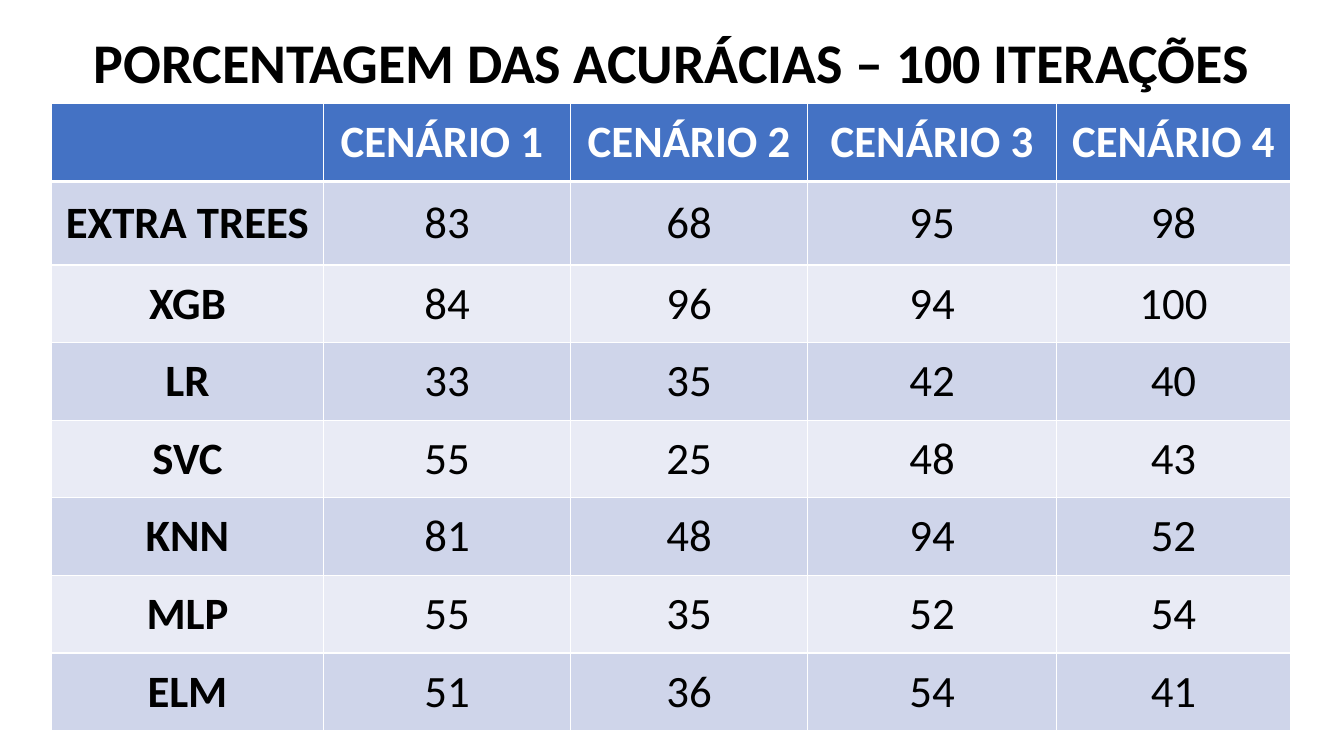
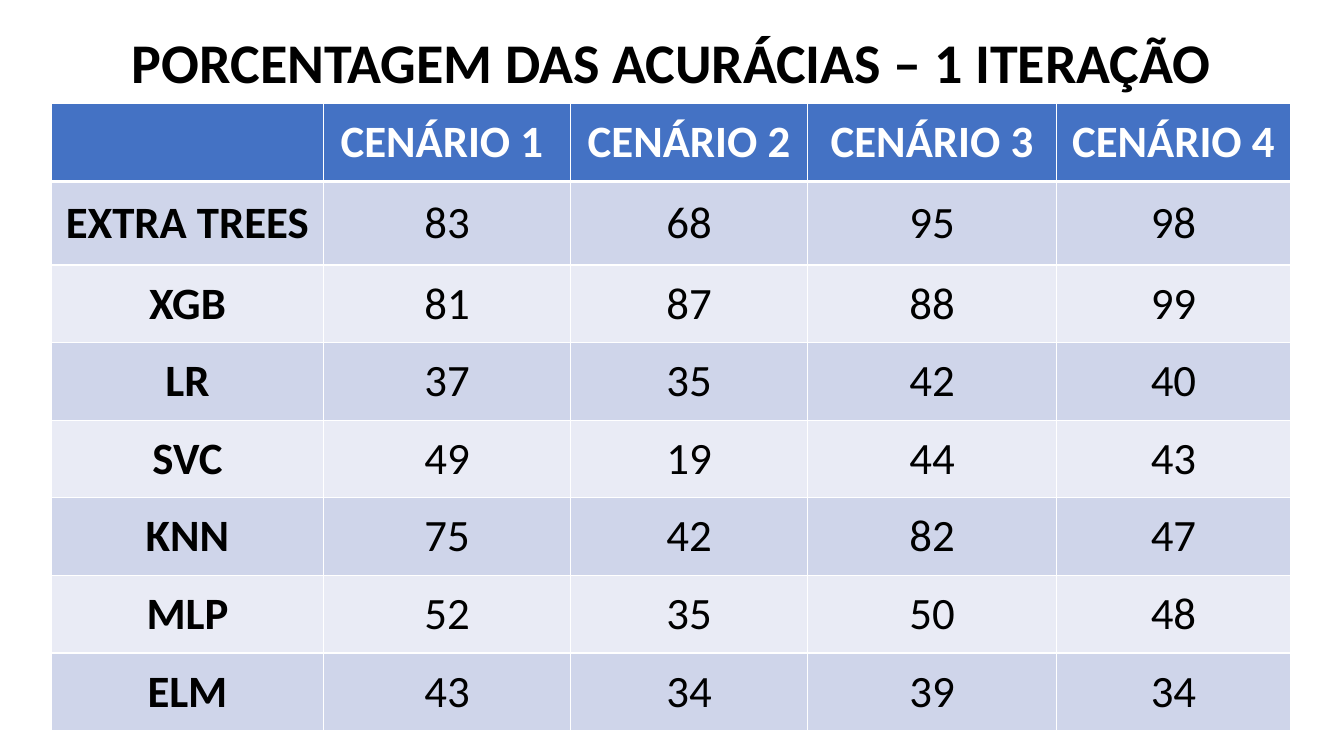
from pptx import Presentation
from pptx.dml.color import RGBColor
from pptx.enum.text import MSO_ANCHOR, MSO_AUTO_SIZE, PP_ALIGN
from pptx.oxml import parse_xml
from pptx.oxml.ns import nsdecls
from pptx.util import Inches, Pt

# Shared look
FONT = "Calibri"
BLACK = RGBColor(0x00, 0x00, 0x00)
WHITE = RGBColor(0xFF, 0xFF, 0xFF)
HEADER_BLUE = RGBColor(0x44, 0x72, 0xC4)
BAND_DARK = RGBColor(0xCF, 0xD5, 0xEA)
BAND_LIGHT = RGBColor(0xE9, 0xEB, 0xF5)

LEFT, WIDTH = Inches(0.51), Inches(12.3)
COLUMN_WIDTHS = [2.7, 2.45, 2.35, 2.47, 2.32]
ROW_HEIGHTS = [0.77, 0.83] + [0.77] * 6

# Content
SCENARIOS = ["", "CENÁRIO 1 ", "CENÁRIO 2", "CENÁRIO 3", "CENÁRIO 4"]
CLASSIFIERS = ["EXTRA TREES", "XGB", "LR", "SVC", "KNN", "MLP", "ELM"]
ACCURACIES = {
    "100 ITERAÇÕES": [
        (83, 68, 95, 98),
        (84, 96, 94, 100),
        (33, 35, 42, 40),
        (55, 25, 48, 43),
        (81, 48, 94, 52),
        (55, 35, 52, 54),
        (51, 36, 54, 41),
    ],
    "1 ITERAÇÃO": [
        (83, 68, 95, 98),
        (81, 87, 88, 99),
        (37, 35, 42, 40),
        (49, 19, 44, 43),
        (75, 42, 82, 47),
        (52, 35, 50, 48),
        (43, 34, 39, 34),
    ],
}


def write_text(frame, text, size=32, color=BLACK, bold=False):
    paragraph = frame.paragraphs[0]
    paragraph.alignment = PP_ALIGN.CENTER
    paragraph.font.size = Pt(size)
    if text:
        run = paragraph.add_run()
        run.text = text
        run.font.name = FONT
        run.font.size = Pt(size)
        run.font.bold = bold
        run.font.color.rgb = color


def add_borders(cell, **widths):
    properties = cell._tc.get_or_add_tcPr()
    for position, side in enumerate("LRTB"):
        width = Pt(widths.get(side, 1))
        properties.insert(position, parse_xml(
            f'<a:ln{side} {nsdecls("a")} w="{width}"><a:solidFill>'
            f'<a:srgbClr val="{WHITE}"/></a:solidFill></a:ln{side}>'))


deck = Presentation()
deck.slide_width, deck.slide_height = Inches(13.33), Inches(7.5)
title_only = deck.slide_layouts[5]

for iterations, scores in ACCURACIES.items():
    slide = deck.slides.add_slide(title_only)

    # Title
    heading = slide.shapes.title
    heading.left, heading.top = LEFT, Inches(0.22)
    heading.width, heading.height = WIDTH, Inches(0.77)
    heading.text_frame.auto_size = MSO_AUTO_SIZE.NONE
    heading.text_frame.vertical_anchor = MSO_ANCHOR.TOP
    write_text(heading.text_frame, f"PORCENTAGEM DAS ACURÁCIAS – {iterations}",
               size=40, bold=True)

    # Accuracy table
    rows = [SCENARIOS] + [[name, *row] for name, row in zip(CLASSIFIERS, scores)]
    accuracy = slide.shapes.add_table(
        len(rows), len(SCENARIOS), LEFT, Inches(1.03), WIDTH, Inches(6.2)).table
    for column, width in zip(accuracy.columns, COLUMN_WIDTHS):
        column.width = Inches(width)
    for row, height in zip(accuracy.rows, ROW_HEIGHTS):
        row.height = Inches(height)

    for r, row in enumerate(rows):
        is_header = r == 0
        band = HEADER_BLUE if is_header else BAND_DARK if r % 2 else BAND_LIGHT
        for c, value in enumerate(row):
            cell = accuracy.cell(r, c)
            cell.fill.solid()
            cell.fill.fore_color.rgb = band
            cell.vertical_anchor = MSO_ANCHOR.MIDDLE
            add_borders(cell, B=3 if is_header else 1, T=3 if r == 1 else 1)
            write_text(cell.text_frame, str(value), bold=is_header or c == 0,
                       color=WHITE if is_header else BLACK)

deck.save("out.pptx")
